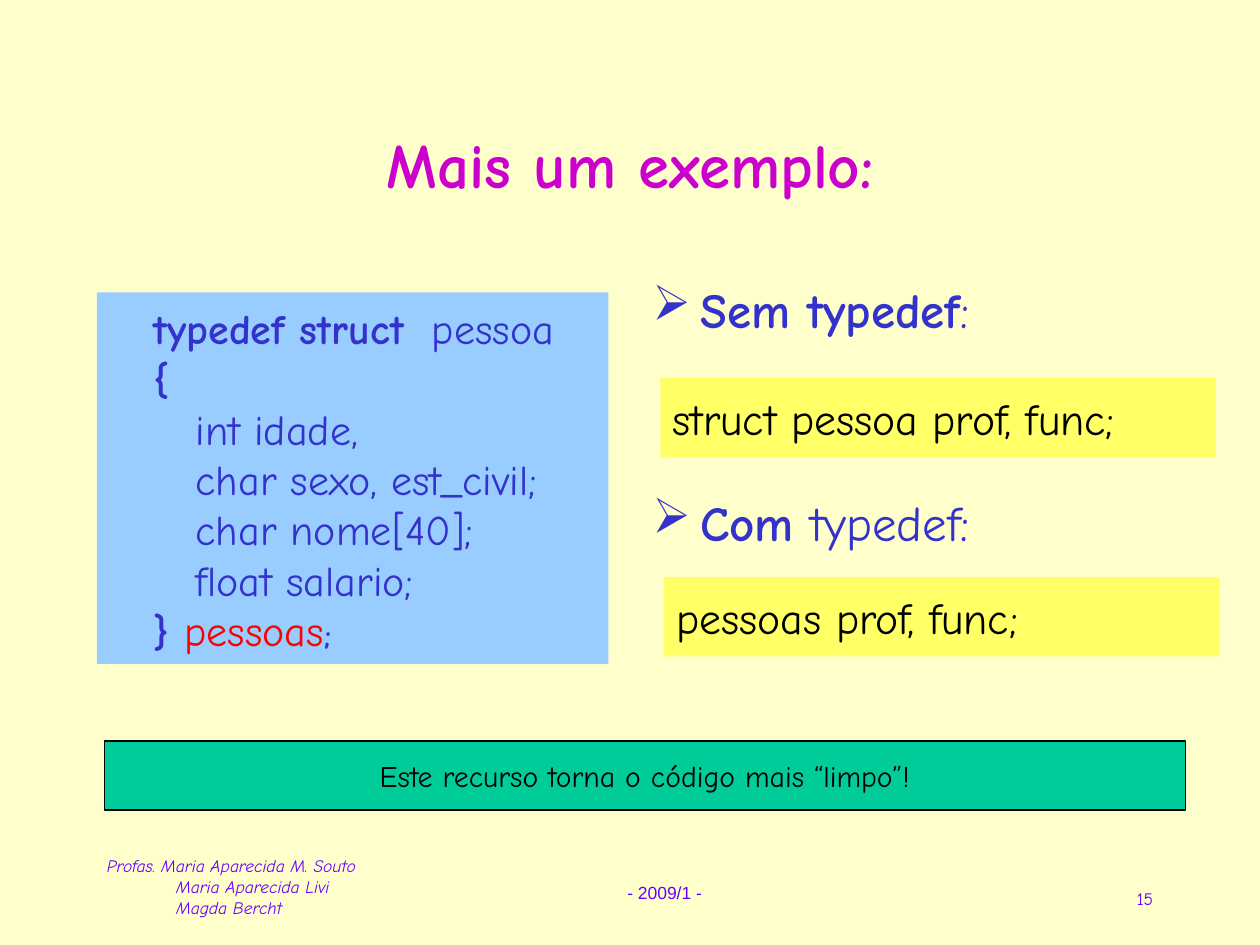
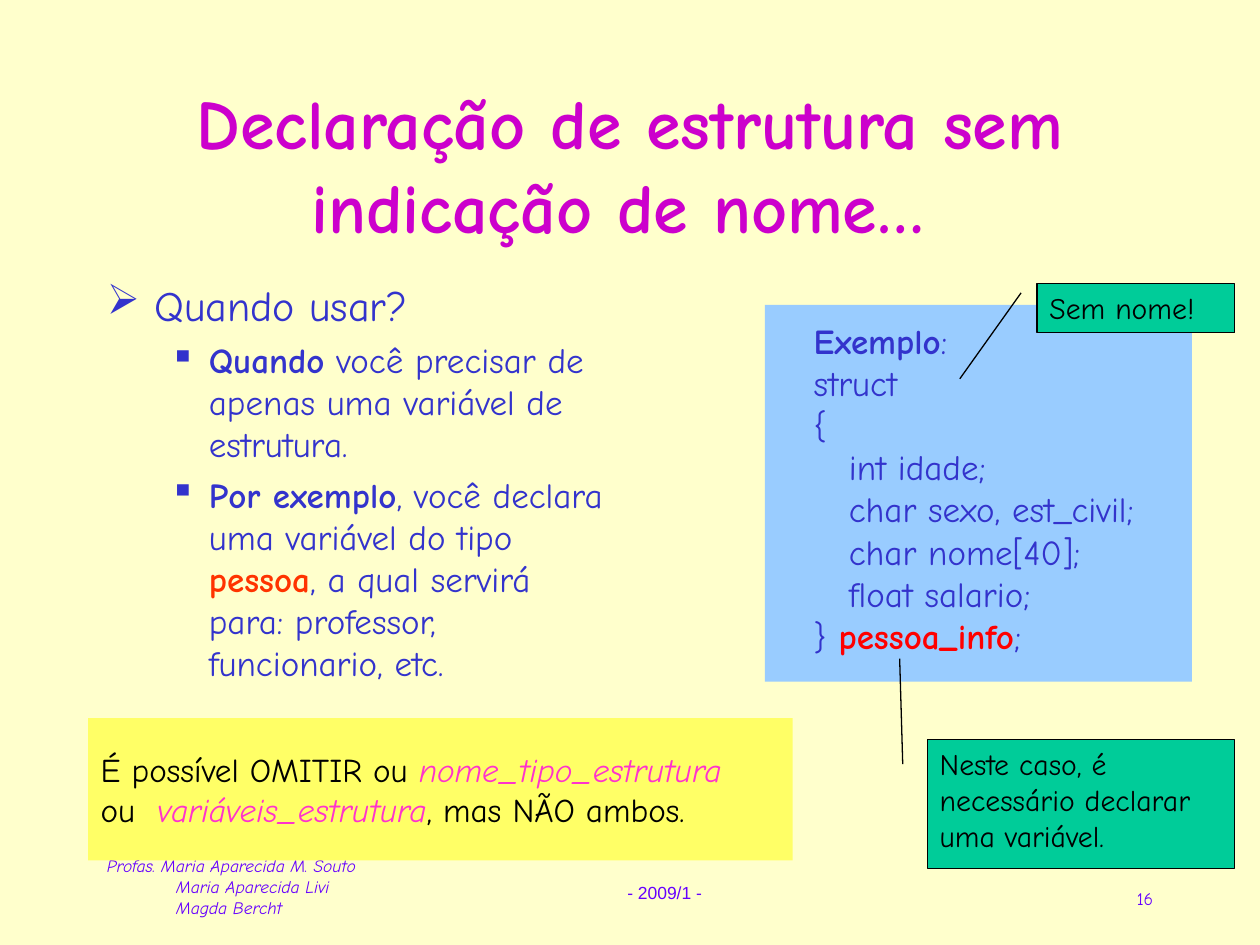
import lxml.etree
import pptx
import pptx.dml.color
import pptx.enum.shapes
import pptx.enum.text
import pptx.oxml.ns
import pptx.util

Inches = pptx.util.Inches
Pt = pptx.util.Pt
ALIGN = pptx.enum.text.PP_ALIGN
ANCHOR = pptx.enum.text.MSO_ANCHOR
RECTANGLE = pptx.enum.shapes.MSO_SHAPE.RECTANGLE
CALLOUT = pptx.enum.shapes.MSO_SHAPE.LINE_CALLOUT_1

CREAM, MAGENTA, VIOLET, INK = "FFFFCC", "CC00CC", "6600FF", "3333CC"
BLACK, RED, ORANGE, PINK = "000000", "FF0000", "FF3300", "FF33CC"
SKY, YELLOW, GREEN = "99CCFF", "FFFF66", "00CC99"
BOLD = {"bold": True}


def color(value):
    return pptx.dml.color.RGBColor.from_string(value)


def add_text(shapes, box, paragraphs, size, ink, preset=None, fill=None, line=None,
             align=ALIGN.LEFT, anchor=ANCHOR.TOP, wrap=True, font="Comic Neue", **style):
    """Each paragraph is a string or a list of (text, differing format) runs."""
    box = [Inches(length) for length in box]
    if preset is None:
        shape = shapes.add_textbox(*box)
    else:
        shape = shapes.add_shape(preset, *box)
        shape.shadow.inherit = False
        shape.fill.solid()
        shape.fill.fore_color.rgb = color(fill)
        if line:
            shape.line.color.rgb = color(line)
            shape.line.width = Pt(0.75)
        else:
            shape.line.fill.background()
    frame = shape.text_frame
    frame.word_wrap = wrap
    frame.vertical_anchor = anchor
    for index, runs in enumerate(paragraphs):
        paragraph = frame.paragraphs[0] if index == 0 else frame.add_paragraph()
        paragraph.alignment = align
        for text, changes in [(runs, {})] if isinstance(runs, str) else runs:
            run = paragraph.add_run()
            run.text = text
            look = {"size": size, "ink": ink, "bold": False, "italic": False, **style, **changes}
            run.font.name = font
            run.font.size = Pt(look["size"])
            run.font.bold = look["bold"]
            run.font.italic = look["italic"]
            run.font.color.rgb = color(look["ink"])
    return shape


presentation = pptx.Presentation()
presentation.slide_width = Inches(10)
presentation.slide_height = Inches(7.5)
background = presentation.slide_master.background.fill
background.solid()
background.fore_color.rgb = color(CREAM)

# Titles and footers
titles = [("Mais um exemplo:", 36), ("Declaração de estrutura sem indicação de nome… ", 40)]
for number, (title, size) in enumerate(titles, start=15):
    slide = presentation.slides.add_slide(presentation.slide_layouts[6])
    authors = add_text(slide.shapes, (0.75, 6.74, 2.62, 0.6),
                       ["Profas. Maria Aparecida M. Souto", "Maria Aparecida Livi", "Magda Bercht"],
                       10, VIOLET, italic=True)
    for paragraph in authors.text_frame.paragraphs[1:]:
        paragraph._p.get_or_add_pPr().set("marL", str(Inches(0.55)))
    add_text(slide.shapes, (4.88, 6.95, 0.79, 0.27), ["- 2009/1 -"], 10, VIOLET,
             wrap=False, font="Arial")
    add_text(slide.shapes, (7.17, 7, 2.08, 0.33), [str(number)], 10, VIOLET, align=ALIGN.RIGHT)
    add_text(slide.shapes, (0.75, 0.67, 8.5, 1.25), [title], size, MAGENTA,
             align=ALIGN.CENTER, anchor=ANCHOR.MIDDLE, bold=True)
typedef_slide, unnamed_slide = presentation.slides

# Bulleted bodies
comparison = add_text(typedef_slide.shapes, (5.08, 2.17, 4.17, 4.5), [
    [("Sem typedef", BOLD), (":", {})],
    [("Com", BOLD), (" typedef:", {})],
], 28, INK)
usage = add_text(unnamed_slide.shapes, (0.75, 2.17, 4.17, 4.5), [
    [("Quando usar?", {"size": 24})],
    [("Quando", BOLD), (" você precisar de apenas uma variável de estrutura.", {})],
    [("Por exemplo", BOLD), (", você declara uma variável do tipo ", {}),
     ("pessoa", {"bold": True, "ink": ORANGE}),
     (", a qual servirá para: professor, funcionario, etc.", {})],
], 20, INK)

# Bullet character, left indent, hanging indent and level by body paragraph
main_bullet = ("➢", 0.38, 0.38, 0)
sub_bullet = ("▪", 0.81, 0.31, 1)
for body, bullets, gap in [(comparison, [main_bullet] * 2, 88),
                           (usage, [main_bullet, sub_bullet, sub_bullet], 5)]:
    for index, (paragraph, bullet) in enumerate(zip(body.text_frame.paragraphs, bullets)):
        character, left, hanging, level = bullet
        paragraph.level = level
        if index:
            paragraph.space_before = Pt(gap)
        properties = paragraph._p.get_or_add_pPr()
        properties.set("marL", str(Inches(left)))
        properties.set("indent", str(-Inches(hanging)))
        bullet_color = lxml.etree.SubElement(properties, pptx.oxml.ns.qn("a:buClr"))
        lxml.etree.SubElement(bullet_color, pptx.oxml.ns.qn("a:srgbClr"), val=INK)
        lxml.etree.SubElement(properties, pptx.oxml.ns.qn("a:buChar"), char=character)

# Code panels
fields = ["   char sexo, est_civil;", "   char nome[40];", "   float salario;"]
typedef_code = [
    [("typedef struct", BOLD), ("  pessoa", {})],
    [("{", BOLD)],
    "   int idade,",
    *fields,
    [("} ", BOLD), ("pessoas", {"ink": RED}), (";", {"size": 18, "bold": True})],
]
unnamed_code = [
    [("Exemplo", BOLD), (":", {})],
    "struct",
    "{",
    "   int idade;",
    *fields,
    [("} ", {}), ("pessoa_info", {"ink": RED, "bold": True}), (";", {})],
]
for slide, panel, code_box, code, size in [
    (typedef_slide, (0.77, 2.32, 4.06, 2.95), (1.12, 2.35, 3.38, 2.9), typedef_code, 24),
    (unnamed_slide, (6.07, 2.42, 3.39, 2.99), (6.36, 2.49, 2.75, 2.77), unnamed_code, 20),
]:
    group = slide.shapes.add_group_shape()
    add_text(group.shapes, panel, [], size, INK, RECTANGLE, SKY)
    add_text(group.shapes, code_box, code, size, INK, wrap=False)

# Declarations with and without typedef, and the conclusion
for left, top, declaration in [(5.24, 3, "struct pessoa prof, func;"),
                               (5.27, 4.58, "pessoas prof, func;")]:
    add_text(typedef_slide.shapes, (left, top, 4.41, 0.63), [declaration], 25, BLACK,
             RECTANGLE, YELLOW, anchor=ANCHOR.MIDDLE)
add_text(typedef_slide.shapes, (0.83, 5.88, 8.58, 0.55),
         ["Este recurso torna o código mais “limpo”!"], 17, BLACK, RECTANGLE, GREEN, BLACK,
         align=ALIGN.CENTER, anchor=ANCHOR.MIDDLE)

# Callouts: the leader runs from (y, x) to (y, x), as shares of the box
for box, remark, leader in [
    ((8.23, 2.25, 1.57, 0.39), "Sem nome!", (0.19, -0.08, 1.94, -0.39)),
    ((7.36, 5.87, 2.44, 1.02), "Neste caso, é necessário declarar uma variável.",
     (0.19, -0.08, -0.63, -0.09)),
]:
    callout = add_text(unnamed_slide.shapes, box, [remark], 17, BLACK, CALLOUT, GREEN, BLACK)
    for index, share in enumerate(leader):
        callout.adjustments[index] = share

# Rule about omitted names
omitted = {"ink": PINK, "italic": True}
add_text(unnamed_slide.shapes, (0.7, 5.7, 5.59, 1.13), [
    [("É possível OMITIR ou ", {}), ("nome_tipo_estrutura", omitted)],
    [("ou  ", {}), ("variáveis_estrutura", omitted), (", mas NÃO ambos.", {})],
], 19, BLACK, RECTANGLE, YELLOW, anchor=ANCHOR.MIDDLE)

presentation.save("out.pptx")
